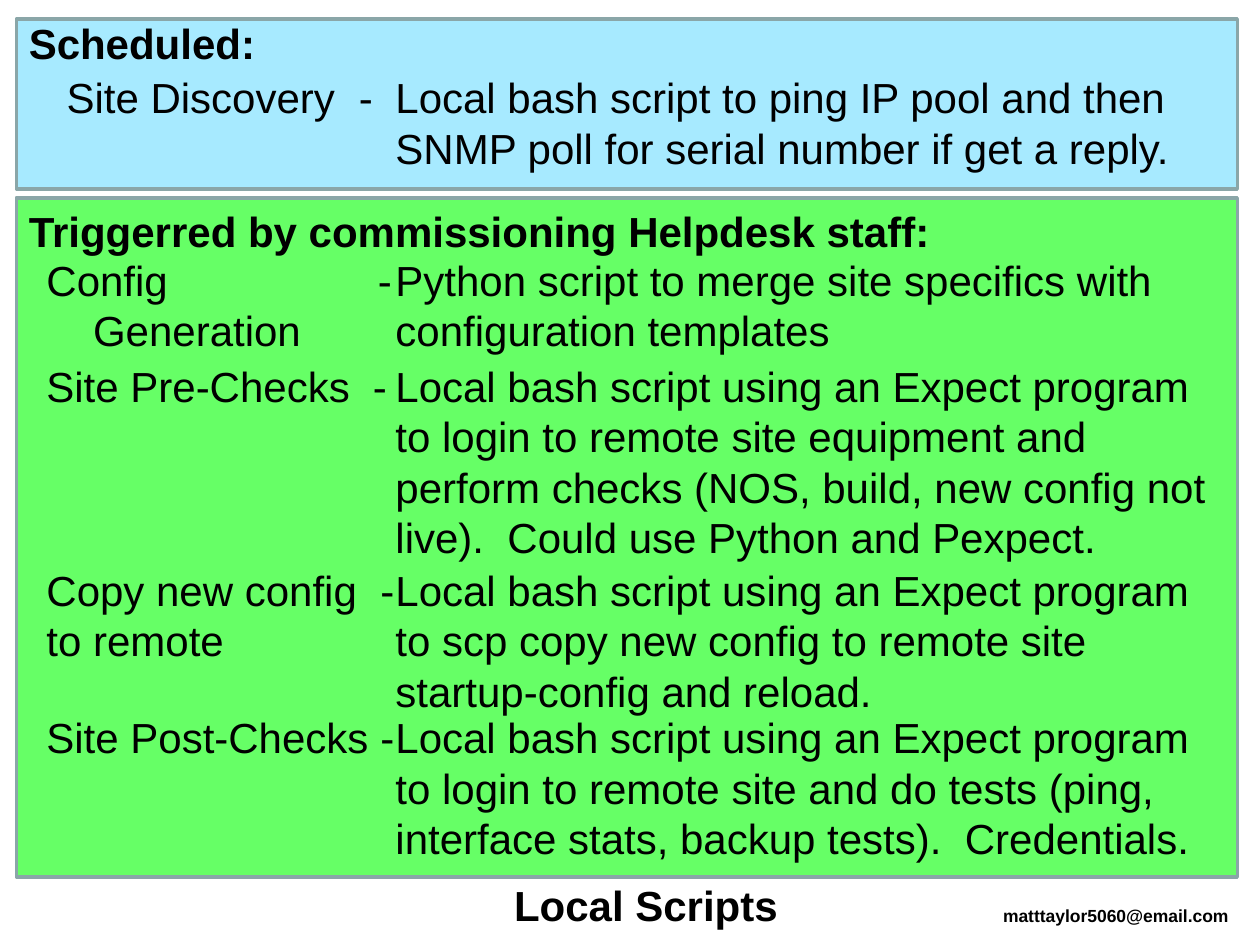
from dataclasses import dataclass

from pptx import Presentation
from pptx import util as u
from pptx.dml.color import RGBColor
from pptx.enum import shapes, text
from pptx.oxml.xmlchemy import OxmlElement


@dataclass(frozen=True)
class Theme:
    font: str = "Arial"
    ink: str = "000000"
    border: str = "8AA6A8"
    scheduled: str = "A7EAFF"
    triggered: str = "66FF66"
    body_size: int = 24
    contact_size: int = 10


class ScriptSlide:
    def __init__(self, slide, theme):
        self.slide = slide
        self.theme = theme

    def format(self, shape, size=None, bold=False, align=text.PP_ALIGN.LEFT):
        frame = shape.text_frame
        frame.word_wrap = True
        frame.auto_size = text.MSO_AUTO_SIZE.NONE
        frame.vertical_anchor = text.MSO_ANCHOR.TOP
        for paragraph in frame.paragraphs:
            paragraph.alignment = align
            for run in paragraph.runs:
                run.font.name = self.theme.font
                run.font.size = u.Pt(size or self.theme.body_size)
                run.font.bold = bold
                run.font.color.rgb = RGBColor.from_string(self.theme.ink)

    def title(self, words, box):
        shape = self.slide.shapes.title
        shape.left, shape.top, shape.width, shape.height = map(u.Inches, box)
        shape.text_frame.text = words
        self.format(shape, bold=True)

    def text(self, words, box, **style):
        shape = self.slide.shapes.add_textbox(*map(u.Inches, box))
        shape.text_frame.text = words
        self.format(shape, **style)
        return shape

    def panel(self, heading, heading_top, top, height, fill):
        shape = self.slide.shapes.add_shape(
            shapes.MSO_SHAPE.RECTANGLE, *map(u.Inches, (0.13, top, 9.69, height)))
        shape.shadow.inherit = False
        shape.fill.solid()
        shape.fill.fore_color.rgb = RGBColor.from_string(fill)
        shape.line.color.rgb = RGBColor.from_string(self.theme.border)
        shape.line.width = u.Pt(2)
        self.text(heading, (0.13, heading_top, 8.78, 0.5), bold=True)

    def entry(self, label, description, top, height, dash, left=0.27, indent=0):
        """Place a label, its dash at a tab stop, and the description beside it."""
        name = self.text(label, (left, top, 3.11, 0.91))
        first, *rest = name.text_frame.paragraphs
        tabs = OxmlElement("a:tabLst")
        tab = OxmlElement("a:tab")
        tab.set("pos", str(u.Inches(dash)))
        tab.set("algn", "l")
        tabs.append(tab)
        first._p.get_or_add_pPr().append(tabs)
        for paragraph in rest:
            paragraph._p.get_or_add_pPr().set("marL", str(u.Inches(indent)))
        self.text(description, (3.04, top, 6.79, height))


def main():
    presentation = Presentation()
    presentation.slide_width = u.Inches(10)
    presentation.slide_height = u.Inches(7.5)
    theme = Theme()
    page = ScriptSlide(
        presentation.slides.add_slide(presentation.slide_layouts[5]), theme)

    page.panel("Triggerred by commissioning Helpdesk staff:",
               1.58, 1.57, 5.39, theme.triggered)
    page.panel("Scheduled:", 0.09, 0.15, 1.35, theme.scheduled)

    page.entry("Site Discovery\t-",
               "Local bash script to ping IP pool and then SNMP poll for "
               "serial number if get a reply.",
               0.52, 0.91, dash=2.32, left=0.43)
    page.entry("Config\t-\nGeneration",
               "Python script to merge site specifics with configuration templates",
               1.97, 0.91, dash=2.63, indent=0.37)
    page.entry("Site Pre-Checks\t-",
               "Local bash script using an Expect program to login to remote "
               "site equipment and perform checks (NOS, build, new config not "
               "live).  Could use Python and Pexpect.",
               2.81, 1.72, dash=2.59)
    page.entry("Copy new config\t-\nto remote",
               "Local bash script using an Expect program to scp copy new "
               "config to remote site startup-config and reload.",
               4.43, 1.31, dash=2.65)
    page.entry("Site Post-Checks\t-",
               "Local bash script using an Expect program to login to remote "
               "site and do tests (ping, interface stats, backup tests).  "
               "Credentials.",
               5.6, 1.31, dash=2.65)

    page.title("Local Scripts", (3.98, 6.93, 2.57, 0.5))
    page.text("matttaylor5060@email.com", (7.82, 7.13, 2.07, 0.27),
              size=theme.contact_size, bold=True, align=text.PP_ALIGN.CENTER)
    presentation.save("out.pptx")


if __name__ == "__main__":
    main()
